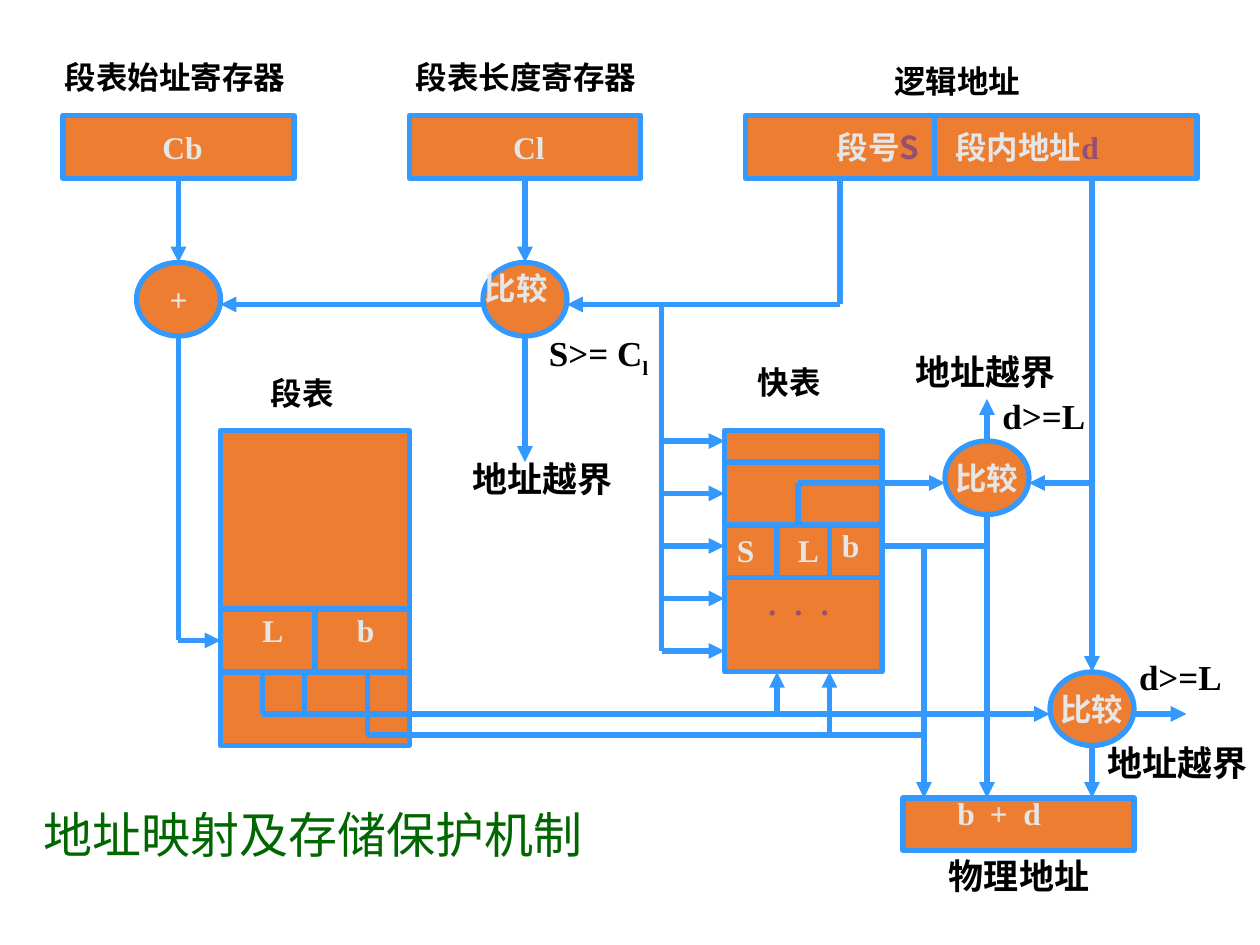
import dataclasses

import pptx
import pptx.dml.color
import pptx.enum.shapes
import pptx.enum.text
import pptx.oxml
import pptx.oxml.ns
import pptx.util
from pptx.util import Cm

SHAPE = pptx.enum.shapes.MSO_SHAPE
ALIGN = pptx.enum.text.PP_ALIGN
ANCHOR = pptx.enum.text.MSO_ANCHOR
AUTO = pptx.enum.text.MSO_AUTO_SIZE
GRID = 2.54 / 12


@dataclasses.dataclass(frozen=True)
class Theme:
    fill: str = "ED7D31"
    line: str = "3399FF"
    light: str = "E7E6E6"
    accent: str = "954F72"
    dark: str = "000000"
    title: str = "006600"
    serif: str = "Times New Roman"
    sans: str = "Noto Sans CJK SC"
    title_font: str = "Arial Narrow"
    label_size: int = 18
    note_size: int = 20
    title_size: int = 28
    line_width: int = 3


THEME = Theme()


def g(n):
    """Length of n grid units; twelve units make 2.54 cm."""
    return Cm(n * GRID)


def rgb(value):
    return pptx.dml.color.RGBColor.from_string(value)


def set_attrs(obj, values):
    for name, value in values.items():
        setattr(obj, name, value)


def add_run(p, text, color=THEME.light, size=THEME.label_size,
            font=THEME.serif, bold=True):
    r = p.add_run()
    r.text = text
    set_attrs(r.font, {"name": font, "size": pptx.util.Pt(size), "bold": bold})
    r.font.color.rgb = rgb(color)
    return r


def add_tabs(p, *stops):
    tabs = pptx.oxml.parse_xml(
        f'<a:tabLst {pptx.oxml.ns.nsdecls("a")}>'
        + "".join(f'<a:tab pos="{g(s)}" algn="l"/>' for s in stops)
        + "</a:tabLst>")
    p._p.get_or_add_pPr().append(tabs)


def add_node(slide, kind, box, text=""):
    sp = slide.shapes.add_shape(kind, *map(g, box))
    sp.shadow.inherit = False
    sp.fill.solid()
    sp.fill.fore_color.rgb = rgb(THEME.fill)
    sp.line.color.rgb = rgb(THEME.line)
    sp.line.width = pptx.util.Pt(THEME.line_width)
    if text:
        set_attrs(sp.text_frame, {"word_wrap": False, "vertical_anchor": ANCHOR.MIDDLE})
        p = sp.text_frame.paragraphs[0]
        p.alignment = ALIGN.CENTER
        add_run(p, text)
    return sp


def add_line(slide, ends, arrow=False, source=None):
    """Draw a line; source is a rectangle whose bottom middle it leaves."""
    line = slide.shapes.add_connector(
        pptx.enum.shapes.MSO_CONNECTOR.STRAIGHT, *map(g, ends))
    line.line.color.rgb = rgb(THEME.line)
    line.line.width = pptx.util.Pt(THEME.line_width)
    ns = pptx.oxml.ns.nsdecls("a")
    if arrow:
        line.line._get_or_add_ln().append(
            pptx.oxml.parse_xml(f'<a:tailEnd {ns} type="triangle"/>'))
    line._element.spPr.append(pptx.oxml.parse_xml(f"<a:effectLst {ns}/>"))
    if source is not None:
        line.begin_connect(source, 2)


def add_text(slide, box, text, wrap=False, **style):
    """Add a text box and return its paragraph."""
    tf = slide.shapes.add_textbox(*map(g, box)).text_frame
    set_attrs(tf, {"word_wrap": wrap,
                   "auto_size": AUTO.NONE if wrap else AUTO.SHAPE_TO_FIT_TEXT})
    p = tf.paragraphs[0]
    if text:
        add_run(p, text, **style)
    return p


def add_logical_address(slide):
    sp = add_node(slide, SHAPE.RECTANGLE, (71, 11, 43, 6))
    set_attrs(sp.text_frame, {"word_wrap": True, "margin_left": g(8.7),
                              "vertical_anchor": ANCHOR.MIDDLE})
    p = sp.text_frame.paragraphs[0]
    p.alignment = ALIGN.LEFT
    add_tabs(p, 11.3)
    add_run(p, "段号")
    add_run(p, "S", THEME.accent, font=THEME.sans)
    add_run(p, "\t段内地址")
    add_run(p, "d", THEME.accent)


def add_nodes(slide):
    """Draw registers, tables and operators; return the two registers."""
    base = add_node(slide, SHAPE.RECTANGLE, (6, 11, 22, 6), " Cb")
    length = add_node(slide, SHAPE.RECTANGLE, (39, 11, 22, 6), " Cl")
    add_logical_address(slide)
    segment_table, fast_table, physical = (21, 41, 18, 30), (69, 41, 15, 23), (86, 76, 22, 5)
    for box in (segment_table, fast_table, physical):
        add_node(slide, SHAPE.RECTANGLE, box)
    for x, y, text in ((13, 25, "+"), (46, 25, ""), (90, 42, "比较"), (100, 64, "比较")):
        add_node(slide, SHAPE.OVAL, (x, y, 8, 7), text)
    return base, length


def add_dividers(slide):
    for ends in ((89, 11, 89, 17), (30, 58, 30, 64), (74, 50, 74, 55), (79, 50, 79, 55)):
        add_line(slide, ends)
    for left, right, rows in ((21, 39, (58, 64)), (69, 84, (44, 50, 55))):
        for y in rows:
            add_line(slide, (left, y, right, y))


def add_flows(slide, base, length):
    for ends in ((63, 29, 63, 62), (17, 32, 17, 61), (80, 17, 80, 29),
                 (35, 64, 35, 70), (35, 70, 88, 70), (84, 52, 94, 52),
                 (29, 64, 29, 68), (25, 64, 25, 68), (76, 50, 76, 46)):
        add_line(slide, ends)
    add_line(slide, (17, 17, 17, 25), True, base)
    add_line(slide, (50, 17, 50, 25), True, length)
    for y in range(42, 63, 5):
        add_line(slide, (63, y, 69, y), True)
    for ends in ((50, 32, 50, 44), (46, 29, 21, 29), (80, 29, 54, 29),
                 (94, 49, 94, 76), (104, 17, 104, 64), (25, 68, 100, 68),
                 (104, 71, 104, 76), (108, 68, 113, 68), (17, 61, 21, 61),
                 (88, 52, 88, 76), (74, 68, 74, 64), (76, 46, 90, 46),
                 (79, 70, 79, 64), (94, 42, 94, 38), (104, 46, 98, 46)):
        add_line(slide, ends, True)


def add_labels(slide):
    for x, y, w, text in ((5, 4.9, 30.7, "段表始址寄存器"), (38.4, 4.9, 30.7, "段表长度寄存器"),
                          (84, 5.3, 18.6, "逻辑地址"), (24.6, 35, 10.6, "段表"),
                          (71, 34, 10.6, "快表")):
        add_text(slide, (x, y, w, 6), text, color=THEME.dark)
    note = {"color": THEME.dark, "size": THEME.note_size}
    for x, y, w, text in ((89.2, 80.8, 15.8, "物理地址"), (86, 32.8, 15.8, "地址越界"),
                          (43.8, 43, 15.8, "地址越界"), (104.3, 70, 15.8, "地址越界"),
                          (94.3, 37, 10.3, "d>=L"), (107.3, 61.8, 10.3, "d>=L")):
        add_text(slide, (x, y, w, 5.2), text, **note)
    p = add_text(slide, (51.1, 31, 11.9, 5.2), "S>= C", **note)
    add_run(p, "l", **note).font._element.set("baseline", "-25000")

    for x, y, w, text in ((23.8, 57.6, 5, "L"), (32.8, 57.6, 4.7, "b"), (69, 50, 4.7, "S"),
                          (74.8, 50, 5, "L"), (79, 49.5, 4.7, "b"), (45, 25, 10.4, "比较")):
        add_text(slide, (x, y, w, 6), text)
    for x in (72, 74.5, 77):
        add_text(slide, (x, 55, 3.4, 6), ".", color=THEME.accent)
    p = add_text(slide, (90, 75, 13.2, 6), "", wrap=True)
    add_tabs(p, 3.1, 6.3)
    add_run(p, "b\t+\td")
    add_text(slide, (3, 76, 62, 5), "地址映射及存储保护机制", wrap=True, color=THEME.title,
             size=THEME.title_size, font=THEME.title_font, bold=False)


def main():
    prs = pptx.Presentation()
    set_attrs(prs, {"slide_width": Cm(25.4), "slide_height": Cm(19.05)})
    slide = prs.slides.add_slide(prs.slide_layouts[6])
    base, length = add_nodes(slide)
    add_dividers(slide)
    add_flows(slide, base, length)
    add_labels(slide)
    prs.save("out.pptx")


if __name__ == "__main__":
    main()
